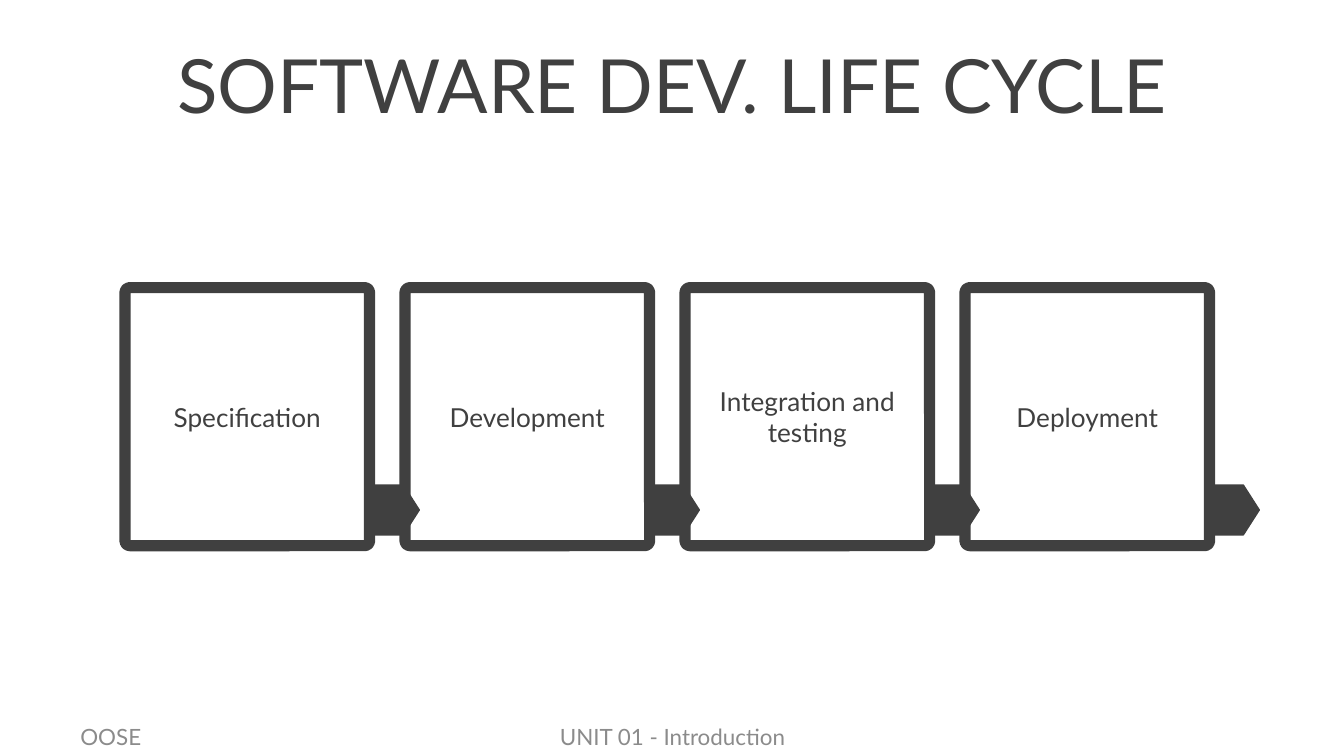
from pptx import Presentation
from pptx.dml.color import RGBColor
from pptx.enum.shapes import MSO_SHAPE
from pptx.enum.text import MSO_ANCHOR, PP_ALIGN
from pptx.util import Inches, Pt

DARK = RGBColor(0x40, 0x40, 0x40)
GREY = RGBColor(0x8B, 0x8B, 0x8B)
FONT = "Lato"
LEFT, CENTER = PP_ALIGN.LEFT, PP_ALIGN.CENTER
MIDDLE = MSO_ANCHOR.MIDDLE
ROUNDED, PENTAGON = MSO_SHAPE.ROUNDED_RECTANGLE, MSO_SHAPE.PENTAGON

SLIDE_WIDTH = 10
SLIDE_HEIGHT = SLIDE_WIDTH * 9 / 16

PHASES = ["Specification", "Development", "Integration and testing", "Deployment"]
FIRST_LEFT, LAST_LEFT, PHASE_TOP = 0.93, 7.18, 2.14
PHASE_PITCH = (LAST_LEFT - FIRST_LEFT) / (len(PHASES) - 1)
PHASE_WIDTH, PHASE_HEIGHT = 1.82, 1.92
ARROW_TOP, ARROW_SIZE = 3.61, 0.37


def write_text(shape, text, size, color, align=CENTER):
    frame = shape.text_frame
    frame.word_wrap = True
    frame.vertical_anchor = MIDDLE
    paragraph = frame.paragraphs[0]
    paragraph.alignment = align
    run = paragraph.add_run()
    run.text = text
    for name, value in {"name": FONT, "size": Pt(size)}.items():
        setattr(run.font, name, value)
    run.font.color.rgb = color


def add_label(slide, bounds, text, size, color, align=CENTER):
    label = slide.shapes.add_textbox(*map(Inches, bounds))
    write_text(label, text, size, color, align)


def add_outlined(slide, preset, bounds, corner, line_width):
    shape = slide.shapes.add_shape(preset, *map(Inches, bounds))
    shape.adjustments[0] = corner
    shape.shadow.inherit = False
    shape.line.color.rgb = DARK
    shape.line.width = Pt(line_width)
    return shape


def add_phase(slide, left, name):
    """Add one phase box and the arrow leaving its right side."""
    box = add_outlined(slide, ROUNDED, (left, PHASE_TOP, PHASE_WIDTH, PHASE_HEIGHT), 0.02, 6)
    box.fill.background()
    write_text(box, name, 14, DARK)

    arrow_bounds = (left + PHASE_WIDTH, ARROW_TOP, ARROW_SIZE, ARROW_SIZE)
    arrow = add_outlined(slide, PENTAGON, arrow_bounds, 0.32, 0.75)
    arrow.fill.solid()
    arrow.fill.fore_color.rgb = DARK


def main():
    deck = Presentation()
    deck.slide_width, deck.slide_height = Inches(SLIDE_WIDTH), Inches(SLIDE_HEIGHT)
    slide = deck.slides.add_slide(deck.slide_layouts[6])

    add_label(slide, (0.5, 0.15, 9, 0.94), "SOFTWARE DEV. LIFE CYCLE", 40, DARK)
    for index, name in enumerate(PHASES):
        add_phase(slide, FIRST_LEFT + index * PHASE_PITCH, name)
    add_label(slide, (0.5, 5.33, 2.33, 0.3), "OOSE", 12, GREY, LEFT)
    add_label(slide, (3.42, 5.33, 3.17, 0.3), "UNIT 01 - Introduction", 12, GREY)

    deck.save("out.pptx")


if __name__ == "__main__":
    main()
